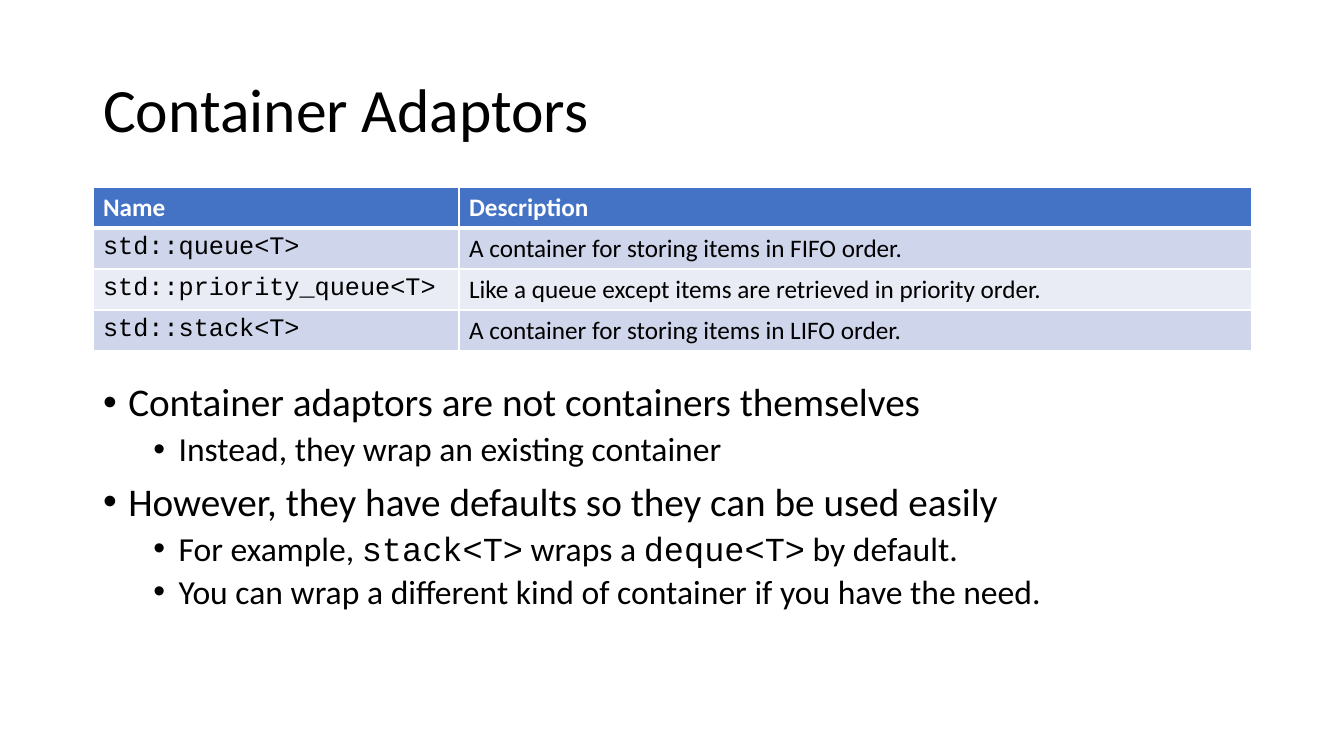
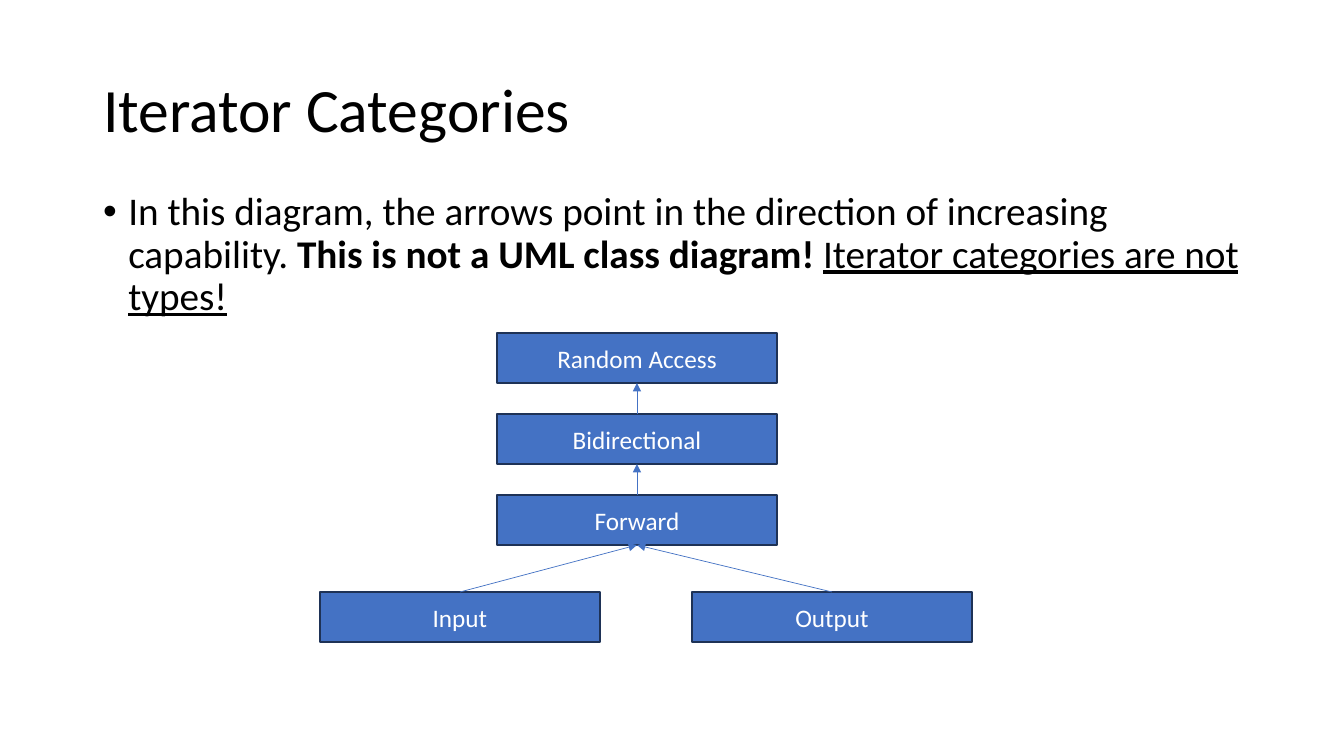
from lxml import etree
from pptx import Presentation, util as u
from pptx.dml.color import RGBColor
from pptx.enum import shapes, text
from pptx.oxml import ns

# Shared scale, colours and fonts
PX = 914400 / 100.8
BLACK = RGBColor(0x00, 0x00, 0x00)
WHITE = RGBColor(0xFF, 0xFF, 0xFF)
BLUE = RGBColor(0x44, 0x72, 0xC4)
NAVY = RGBColor(0x1E, 0x32, 0x56)
BANDS = (RGBColor(0xCF, 0xD5, 0xEA), RGBColor(0xE9, 0xEB, 0xF5))
SANS, MONO = "Calibri", "Courier New"
CODE = {"name": MONO}
BOLD = {"bold": True}
UNDERLINE = {"underline": True}

# Shared layout
LEFT, WIDTH = 93, 1159
TITLE_BOX = (LEFT, 40, WIDTH, 146)
CONTENT_TOP = 187
LEVELS = (  # font size, space before, left margin
    (28, 10, 0.25),
    (24, 5, 0.75),
)


def px(*lengths):
    return [u.Emu(round(n * PX)) for n in lengths]


def add_xml(parent, tag, **attrs):
    return etree.SubElement(parent, ns.qn(tag), attrs)


def set_attrs(target, values):
    for name, value in values.items():
        setattr(target, name, value)


def add_run(p, words, size, color=BLACK, **fmt):
    r = p.add_run()
    r.text = words
    set_attrs(r.font, {"size": u.Pt(size), "name": SANS, **fmt})
    r.font.color.rgb = color


def place(sp, box, anchor):
    """Moves a placeholder and returns its text frame."""
    set_attrs(sp, dict(zip(("left", "top", "width", "height"), px(*box))))
    tf = sp.text_frame
    set_attrs(tf, {"word_wrap": True, "vertical_anchor": anchor,
                   "auto_size": text.MSO_AUTO_SIZE.NONE})
    return tf


def add_slide(prs, title):
    s = prs.slides.add_slide(prs.slide_layouts[1])
    p = place(s.shapes.title, TITLE_BOX, text.MSO_ANCHOR.MIDDLE).paragraphs[0]
    set_attrs(p, {"alignment": text.PP_ALIGN.LEFT, "line_spacing": 0.9})
    add_run(p, title, 44)
    return s


def fill_body(s, top, height, items):
    """Each item is a level followed by (words, format) runs."""
    tf = place(s.placeholders[1], (LEFT, top, WIDTH, height), text.MSO_ANCHOR.TOP)
    for i, (level, *runs) in enumerate(items):
        p = tf.add_paragraph() if i else tf.paragraphs[0]
        size, before, margin = LEVELS[level]
        set_attrs(p, {"level": level, "line_spacing": 0.9,
                      "space_before": u.Pt(before)})
        pPr = p._p.get_or_add_pPr()
        pPr.set("marL", str(u.Inches(margin)))
        pPr.set("indent", str(u.Inches(-0.25)))
        add_xml(pPr, "a:buFont", typeface="Arial")
        add_xml(pPr, "a:buChar", char="•")
        for words, fmt in runs:
            add_run(p, words, size, **fmt)


def set_borders(cell, **widths):
    tcPr = cell._tc.get_or_add_tcPr()
    for side, width in widths.items():
        ln = add_xml(tcPr, f"a:ln{side}", w=str(u.Pt(width)))
        add_xml(add_xml(ln, "a:solidFill"), "a:srgbClr", val=str(WHITE))


def add_table(s, top, col_widths, row_height, rows):
    frame = s.shapes.add_table(len(rows), len(col_widths), *px(
        LEFT, top, sum(col_widths), row_height * len(rows)))
    table = frame.table
    for column, width in zip(table.columns, px(*col_widths)):
        column.width = width
    for i, row in enumerate(rows):
        table.rows[i].height = px(row_height)[0]
        for j, words in enumerate(row):
            cell = table.cell(i, j)
            set_borders(cell, L=1, R=1, T=3 if i == 1 else 1, B=1 if i else 3)
            cell.fill.solid()
            cell.fill.fore_color.rgb = BANDS[(i - 1) % 2] if i else BLUE
            add_run(cell.text_frame.paragraphs[0], words, 18,
                    color=BLACK if i else WHITE, bold=i == 0,
                    name=MONO if i and j == 0 else SANS)


def add_box(s, words, left, top):
    sp = s.shapes.add_shape(shapes.MSO_SHAPE.RECTANGLE, *px(left, top, 280, 50))
    sp.shadow.inherit = False
    sp.fill.solid()
    sp.fill.fore_color.rgb = BLUE
    sp.line.color.rgb = NAVY
    sp.line.width = u.Pt(1)
    tf = sp.text_frame
    set_attrs(tf, {"word_wrap": True, "vertical_anchor": text.MSO_ANCHOR.MIDDLE})
    p = tf.paragraphs[0]
    p.alignment = text.PP_ALIGN.CENTER
    add_run(p, words, 18, color=WHITE)
    return sp


def add_arrow(s, lower, upper):
    """Joins the top of one box to the bottom of the box above."""
    line = s.shapes.add_connector(shapes.MSO_CONNECTOR.STRAIGHT, 0, 0, 0, 0)
    line.begin_connect(lower, 0)
    line.end_connect(upper, 2)
    line.line.color.rgb = BLUE
    line.line.width = u.Pt(0.5)
    add_xml(line.line._get_or_add_ln(), "a:tailEnd", type="triangle")
    add_xml(line._element.spPr, "a:effectLst")


def container_adaptors(prs):
    s = add_slide(prs, "Container Adaptors")
    fill_body(s, 378, 303, [
        (0, ("Container adaptors are not containers themselves", {})),
        (1, ("Instead, they wrap an existing container", {})),
        (0, ("However, they have defaults so they can be used easily", {})),
        (1, ("For example, ", {}), ("stack<T>", CODE), (" wraps a ", {}),
         ("deque<T>", CODE), (" by default.", {})),
        (1, ("You can wrap a different kind of container if you have the need.", {})),
    ])
    add_table(s, CONTENT_TOP, (366, 793), 41, [
        ("Name", "Description"),
        ("std::queue<T>", "A container for storing items in FIFO order."),
        ("std::priority_queue<T>",
         "Like a queue except items are retrieved in priority order."),
        ("std::stack<T>", "A container for storing items in LIFO order."),
    ])


def iterator_categories(prs):
    s = add_slide(prs, "Iterator Categories")
    fill_body(s, CONTENT_TOP, 480, [
        (0, ("In this diagram, the arrows point in the direction of "
             "increasing capability. ", {}),
         ("This is not a UML class diagram! ", BOLD),
         ("Iterator categories are not types!", UNDERLINE)),
    ])
    # Stack of categories, strongest on top
    stack = [add_box(s, words, 497, 333 + 81 * i) for i, words in
             enumerate(("Random Access", "Bidirectional", "Forward"))]
    bases = [add_box(s, words, left, 592)
             for words, left in (("Output", 692), ("Input", 320))]
    for upper, lower in zip(stack, stack[1:]):
        add_arrow(s, lower, upper)
    for base in bases:
        add_arrow(s, base, stack[-1])


def main():
    prs = Presentation()
    prs.slide_width, prs.slide_height = px(1344, 756)
    container_adaptors(prs)
    iterator_categories(prs)
    prs.save("out.pptx")


main()
